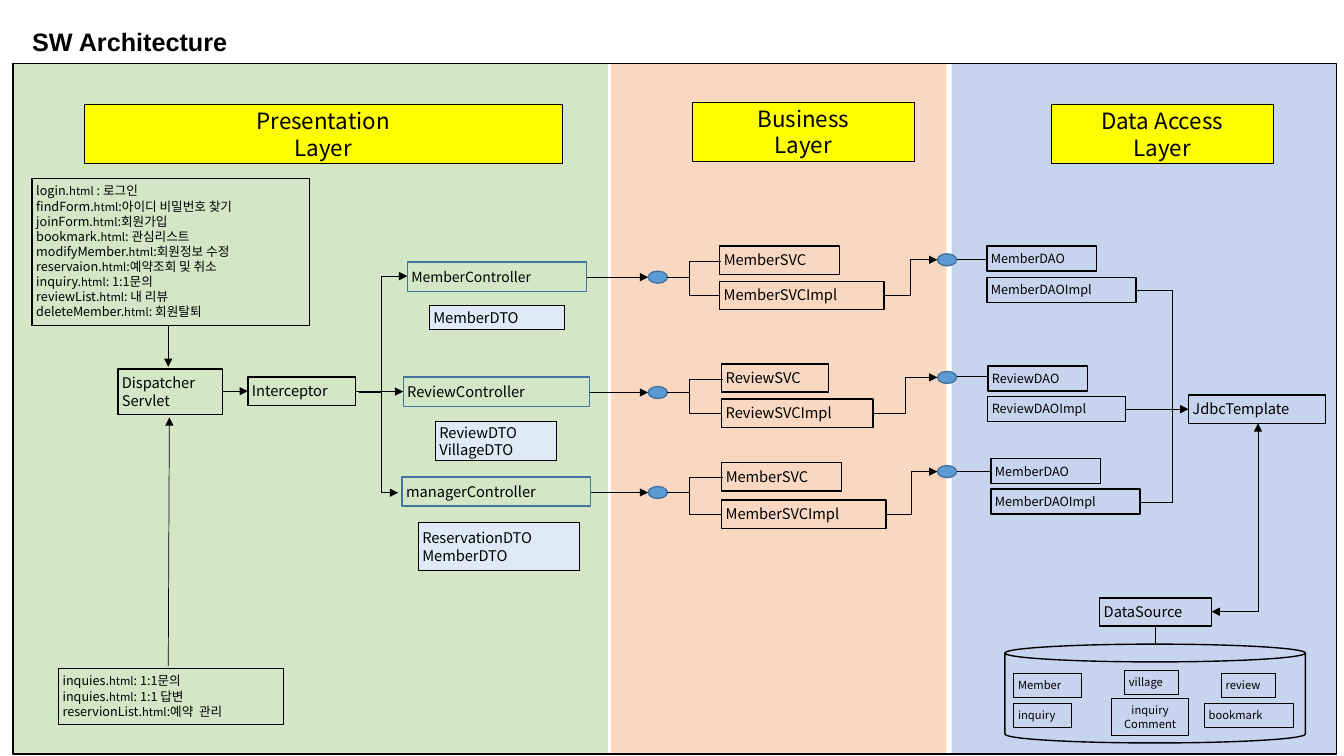
from lxml.etree import SubElement
from pptx import Presentation
from pptx.dml.color import RGBColor
from pptx.enum.shapes import MSO_CONNECTOR, MSO_SHAPE
from pptx.enum.text import MSO_ANCHOR, MSO_AUTO_SIZE, PP_ALIGN
from pptx.oxml.ns import qn
from pptx.util import Pt


def hue(code):
    return RGBColor.from_string(code)


def apply(thing, **values):
    for name, value in values.items():
        setattr(thing, name, value)


class Deck:
    face = "Noto Sans CJK KR"
    ink = "000000"
    blue = "43739E"
    pale = "DEEBF7"
    frame = dict(word_wrap=True, auto_size=MSO_AUTO_SIZE.NONE,
                 margin_left=Pt(2.9), margin_right=Pt(2.9),
                 margin_top=Pt(3.6), margin_bottom=Pt(3.6))

    def __init__(self):
        self.deck = Presentation()
        apply(self.deck, slide_width=Pt(960), slide_height=Pt(540))
        self.slide = self.deck.slides.add_slide(self.deck.slide_layouts[3])
        self.shapes = self.slide.shapes

    def span(self, para, text, size, face, bold=False):
        run = para.add_run()
        run.text = text
        apply(run.font, name=face, size=Pt(size), bold=bold)
        run.font.color.rgb = hue(self.ink)
        SubElement(run.font._element, qn("a:ea"), typeface=face)

    def label(self, shape, lines, size, align=PP_ALIGN.LEFT,
              anchor=MSO_ANCHOR.TOP):
        frame = shape.text_frame
        apply(frame, vertical_anchor=anchor, **self.frame)
        for spot, line in enumerate(lines):
            para = frame.add_paragraph() if spot else frame.paragraphs[0]
            apply(para, alignment=align, line_spacing=Pt(1.2 * size),
                  space_before=Pt(0), space_after=Pt(0))
            head, mark, tail = line.partition("html")
            self.span(para, head, size, self.face)
            if mark:
                self.span(para, mark, size - 1, self.face)
                self.span(para, tail, size, self.face)

    def box(self, x, y, w, h, text="", size=10.5, fill=None, edge=ink,
            width=1, kind=MSO_SHAPE.RECTANGLE, clear=None, **look):
        shape = self.shapes.add_shape(kind, Pt(x), Pt(y), Pt(w), Pt(h))
        shape.shadow.inherit = False
        if fill:
            shape.fill.solid()
            shape.fill.fore_color.rgb = hue(fill)
        else:
            shape.fill.background()
        if clear:
            color = shape.element.find(".//" + qn("a:srgbClr"))
            SubElement(color, qn("a:alpha"), val=str(clear * 1000))
        if edge:
            shape.line.color.rgb = hue(edge)
            shape.line.width = Pt(width)
        else:
            shape.line.fill.background()
        if text:
            self.label(shape, text.split("\n"), size, **look)
        return shape

    def dot(self, x, y):
        self.box(x, y - 4.3, 13.7, 8.6, fill="5B9BD5", edge=self.blue,
                 kind=MSO_SHAPE.FLOWCHART_CONNECTOR)

    def line(self, x1, y1, x2, y2, ends="", kind=MSO_CONNECTOR.STRAIGHT):
        link = self.shapes.add_connector(kind, Pt(x1), Pt(y1), Pt(x2), Pt(y2))
        link.line.color.rgb = hue(self.ink)
        link.line.width = Pt(0.5)
        edge = link.element.find(".//" + qn("a:ln"))
        for end in ends.split():
            SubElement(edge, qn("a:" + end), type="triangle")
        SubElement(link.element.spPr, qn("a:effectLst"))
        return link.element.find(".//" + qn("a:prstGeom"))

    def bend(self, x1, y1, x2, y2, mid, ends=""):
        geom = self.line(x1, y1, x2, y2, ends, MSO_CONNECTOR.ELBOW)
        guides = geom.find(qn("a:avLst"))
        if guides is None:
            guides = SubElement(geom, qn("a:avLst"))
        ratio = round((mid - x1) / (x2 - x1) * 100000)
        SubElement(guides, qn("a:gd"), name="adj1", fmla=f"val {ratio}")

    def corner(self, x1, y1, x2, y2, ends):
        geom = self.line(x1, y1, x2, y2, ends, MSO_CONNECTOR.ELBOW)
        geom.set("prst", "bentConnector2")

    def move(self, shape, x, y, w, h):
        apply(shape, left=Pt(x), top=Pt(y), width=Pt(w), height=Pt(h))
        shape.element.getparent().append(shape.element)

    def title(self, text, *place):
        shape = self.shapes.title
        self.move(shape, *place)
        frame = shape.text_frame
        apply(frame, margin_left=0, margin_right=0, margin_top=0,
              margin_bottom=0, vertical_anchor=MSO_ANCHOR.MIDDLE,
              auto_size=MSO_AUTO_SIZE.NONE)
        apply(frame.paragraphs[0], alignment=PP_ALIGN.LEFT, line_spacing=1.2)
        self.span(frame.paragraphs[0], text, 18, "Arial", True)

    def list(self, slot, text, *place):
        shape = self.slide.placeholders[slot]
        self.move(shape, *place)
        shape.line.color.rgb = hue(self.ink)
        shape.line.width = Pt(1)
        self.label(shape, text.split("\n"), 9)
        for para in shape.text_frame.paragraphs:
            props = para._p.get_or_add_pPr()
            for name in ("marL", "indent"):
                props.set(name, "0")
            SubElement(props, qn("a:buNone"))


PAGES = """login.html : 로그인
findForm.html:아이디 비밀번호 찾기
joinForm.html:회원가입
bookmark.html: 관심리스트
modifyMember.html:회원정보 수정
reservaion.html:예약조회 및 취소
inquiry.html: 1:1문의
reviewList.html: 내 리뷰
deleteMember.html: 회원탈퇴"""
ADMIN = """inquies.html: 1:1문의
inquies.html: 1:1 답변
reservionList.html:예약  관리"""
BANDS = [(679.7, 275, "8FAADC"), (436.3, 239.8, "F4B183"),
         (9.4, 424.8, "A9D18E")]
HEADS = [(59.8, 74.2, 342, "Presentation"), (494.6, 72.7, 158.4, "Business"),
         (751, 74.2, 158.4, "Data Access")]
CONTROL = [
    (290.9, 187.2, 128.2, "MemberController", 10),
    (288, 269.3, 133.2, "ReviewController", 10.5),
    (287.3, 340.6, 134.6, "managerController", 10.5)]
MODELS = [
    (306.7, 218.2, 96.5, 17.3, "MemberDTO"),
    (311, 301, 86.4, 28.1, "ReviewDTO\nVillageDTO"),
    (298.8, 373, 115.2, 34.6, "ReservationDTO\nMemberDTO")]
SERVICE = [
    ("Member", 514.1, 175.7, 200.9, 85.7, 117.4, 198),
    ("Review", 515.5, 259.9, 285.1, 76.3, 108, 280.4),
    ("Member", 515.5, 330.5, 357.1, 85.7, 117.4, 351.8)]
ACCESS = [
    ("Member", 704.9, 175.7, 198, 78.5, 106.6, 185.6),
    ("Review", 705.6, 261.4, 283, 71.3, 98.6, 269.6),
    ("Member", 707.8, 327.6, 349.2, 78.5, 106.6, 336.9)]
TABLES = [
    (724.3, 481, 48.2, "Member"), (724.3, 502.6, 41, "inquiry"),
    (860.4, 502.6, 63.4, "bookmark"), (803.5, 478.8, 38.2, "village"),
    (872.6, 481, 38.2, "review")]


def main():
    art = Deck()
    mid = MSO_ANCHOR.MIDDLE
    center = PP_ALIGN.CENTER
    for x, w, fill in BANDS:
        art.box(x, 45.8, w, 493.2, fill=fill, edge=None, clear=50)
    for x, y, w, text in HEADS:
        art.box(x, y, w, 42.5, text + "\nLayer", 16, "FFFF00", width=0.25,
                align=center, anchor=mid)
    art.list(1, PAGES, 23, 127.4, 198, 105.1)
    art.list(2, ADMIN, 41.8, 477.4, 160.6, 40.3)
    art.box(84.2, 263.5, 74.9, 32.4, "Dispatcher\nServlet")
    art.box(177.1, 269.3, 77, 20.2, "Interceptor")
    art.line(120.2, 231.8, 120.2, 262.1, "tailEnd")
    art.line(120.2, 475.9, 121, 298.1, "tailEnd")
    art.line(159.1, 279.4, 177.1, 279.4, "tailEnd")
    art.bend(254.2, 279.4, 290.9, 197.3, 272.5, "tailEnd")
    art.line(254.2, 279.7, 288, 279.7, "tailEnd")
    art.bend(256.3, 280, 284.4, 352, 272.5, "tailEnd")

    for x, y, w, text, size in CONTROL:
        art.box(x, y, w, 20.9, text, size, edge=art.blue, anchor=mid)
    for x, y, w, h, text in MODELS:
        art.box(x, y, w, h, text, fill=art.pale, anchor=mid)
    for call, serve, store in zip(CONTROL, SERVICE, ACCESS):
        name, x, top, low, wide, long, y = serve
        art.box(x, top, wide, 20.2, name + "SVC")
        art.box(x, low, long, 20.2, name + "SVCImpl")
        art.line(call[0] + call[2], y, 463, y, "tailEnd")
        art.dot(463, y)
        art.line(476.6, y, 492, y)
        art.bend(x + 0.7, top + 10.8, x - 0.7, low + 10.1, 492)
        start, out = x + long, low + 10.1
        name, x, top, low, wide, long, y = store
        art.box(x, top, wide, 18, name + "DAO", 9)
        art.box(x, low, long, 18, name + "DAOImpl", 9)
        art.dot(669.6, y)
        art.bend(start, out, 669.6, y, (start + 669.6) / 2, "tailEnd")
        art.line(683.3, y - 0.5, x, y - 0.5)

    art.bend(811.4, 207.4, 813.6, 358.6, 837.4)
    art.line(803.5, 292.3, 837, 292.3)
    art.line(837, 292.3, 848.9, 292.3, "tailEnd")
    art.box(848.9, 282.2, 97.9, 20.2, "JdbcTemplate")
    art.box(785.5, 427, 79.9, 20.2, "DataSource")
    art.corner(865.4, 437, 898.6, 302.4, "headEnd tailEnd")
    art.line(825.5, 447.1, 825.5, 460.1)
    store = art.box(717.8, 460.1, 214.6, 70.6, kind=MSO_SHAPE.CAN)
    store.adjustments[0] = 0.18
    for x, y, w, text in TABLES:
        art.box(x, y, w, 17.3, text, 8, width=0.75)
    art.box(794.2, 499, 54.7, 26.6, "inquiry\nComment", 8, width=0.75,
            align=center)
    art.box(9.4, 45.4, 945.4, 493.2)
    art.title("SW Architecture", 23, 2.9, 232.6, 49)
    art.deck.save("out.pptx")


if __name__ == "__main__":
    main()
